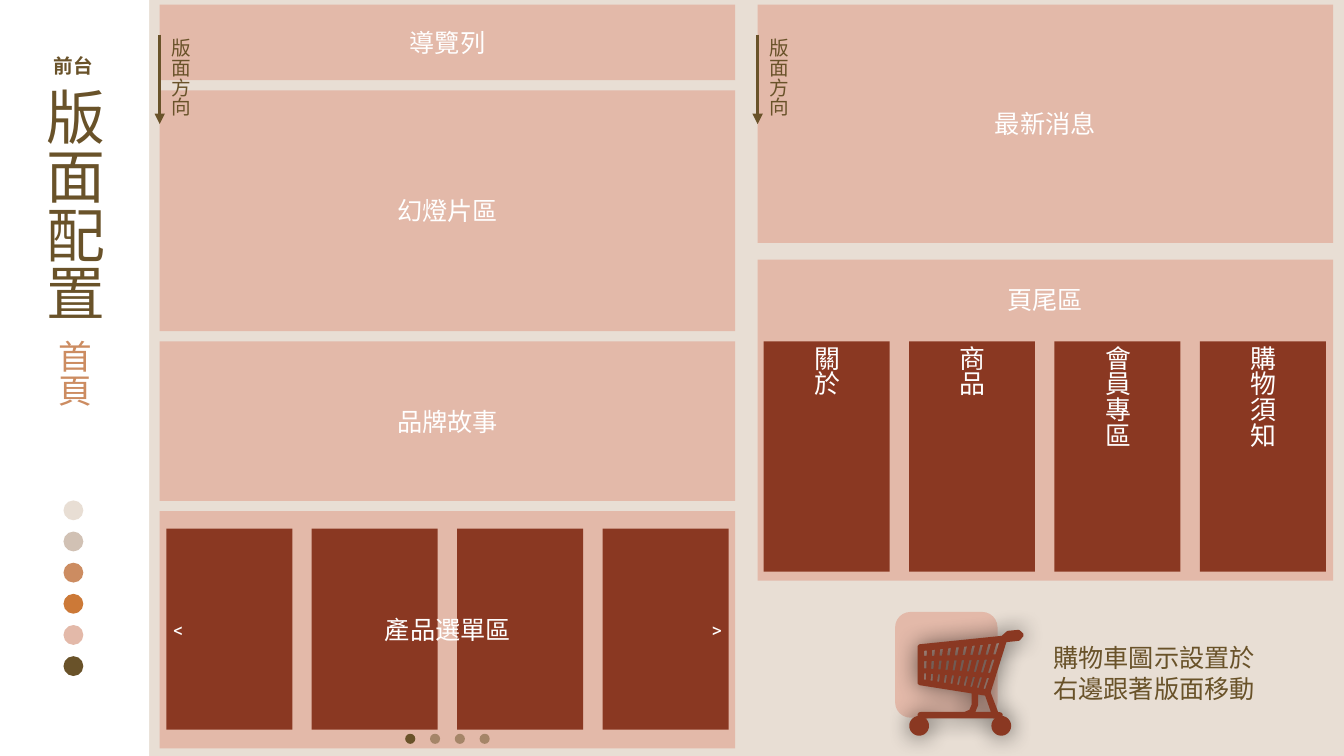
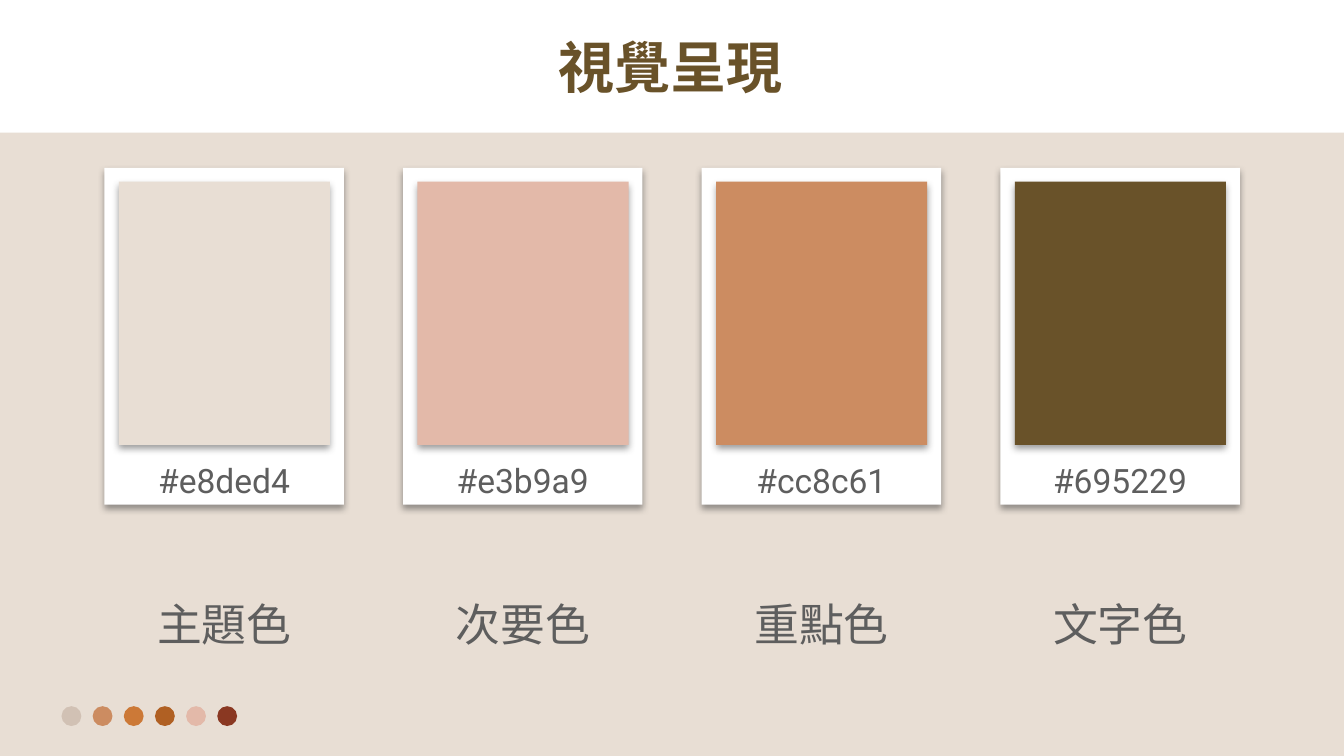
"""Build the page layout and colour palette slides of a shop website proposal."""
from dataclasses import dataclass
from math import cos, pi, sin

from lxml.etree import SubElement
from pptx import Presentation
from pptx.dml.color import RGBColor
from pptx.enum.shapes import MSO_CONNECTOR, MSO_SHAPE
from pptx.enum.text import MSO_ANCHOR, MSO_AUTO_SIZE, PP_ALIGN
from pptx.oxml.ns import qn
from pptx.util import Cm, Pt


@dataclass(frozen=True)
class Theme:
    beige: str = "E8DED4"
    taupe: str = "D1C1B4"
    copper: str = "CC8C61"
    orange: str = "CC7937"
    rust: str = "B06023"
    pink: str = "E3B9A9"
    brown: str = "695229"
    red: str = "8A3822"
    white: str = "FFFFFF"
    gray: str = "5E5E5E"
    cjk_font: str = "Noto Sans CJK SC"
    latin_font: str = "Roboto"
    menu_font: str = "Arial"
    vertical_title: int = 84
    band_title: int = 80
    caption: int = 64
    heading: int = 48
    menu: int = 37
    body: int = 36
    small: int = 28
    card_shadow: tuple = ("393939", 50, 10, 5, 92)
    cart_shadow: tuple = ("000000", 63, 34, 0, 0)


THEME = Theme()


def write(shape, text, size=THEME.body, color=THEME.white, font=THEME.cjk_font, bold=False,
          vertical=False, anchor=MSO_ANCHOR.MIDDLE, wrap=True, grow=False):
    frame = shape.text_frame
    frame.word_wrap = wrap
    frame.auto_size = MSO_AUTO_SIZE.SHAPE_TO_FIT_TEXT if grow else MSO_AUTO_SIZE.NONE
    frame.vertical_anchor = anchor
    frame.margin_left = frame.margin_right = frame.margin_top = frame.margin_bottom = Cm(0.2)
    if vertical:
        frame._txBody.bodyPr.set("vert", "eaVert")
    frame.text = text
    for paragraph in frame.paragraphs:
        paragraph.alignment = PP_ALIGN.CENTER
        for run in paragraph.runs:
            run.font.size = Pt(size)
            run.font.bold = bold
            run.font.color.rgb = RGBColor.from_string(color)
            run.font.name = font
            SubElement(run.font._element, qn("a:ea"), typeface=font)


class SlideBuilder:
    def __init__(self, presentation, theme):
        self.presentation = presentation
        self.theme = theme
        self.slide = None

    def start(self):
        layout = self.presentation.slide_layouts[5]
        self.slide = self.presentation.slides.add_slide(layout)
        self.paint(self.slide.background, self.theme.beige)

    def paint(self, target, color):
        target.fill.solid()
        target.fill.fore_color.rgb = RGBColor.from_string(color)

    def title(self, text, left, top, width, height, fill=None, **style):
        shape = self.slide.shapes.title
        shape.left, shape.top, shape.width, shape.height = map(Cm, (left, top, width, height))
        if fill:
            self.paint(shape, fill)
        write(shape, text, color=self.theme.brown, **style)
        shape._element.getparent().append(shape._element)

    def shape(self, left, top, width, height, fill, kind=MSO_SHAPE.RECTANGLE,
              text=None, shadow=None, opacity=None, **style):
        shape = self.slide.shapes.add_shape(kind, *map(Cm, (left, top, width, height)))
        self.paint(shape, fill)
        shape.line.fill.background()
        shape.shadow.inherit = False
        if shadow:
            self.cast_shadow(shape, *shadow)
        if opacity:
            color = shape._element.spPr.find(qn("a:solidFill"))[0]
            SubElement(color, qn("a:alpha"), val=str(opacity * 1000))
        if text:
            write(shape, text, **style)
        return shape

    def cast_shadow(self, shape, color, opacity, blur, distance, direction):
        effects = shape._element.spPr.find(qn("a:effectLst"))
        outer = SubElement(effects, qn("a:outerShdw"), blurRad=str(Pt(blur)), dist=str(Pt(distance)),
                           dir=str(direction * 60000), algn="ctr", rotWithShape="0")
        SubElement(SubElement(outer, qn("a:srgbClr"), val=color),
                   qn("a:alpha"), val=str(opacity * 1000))

    def text(self, text, left, top, width, height, **style):
        write(self.slide.shapes.add_textbox(*map(Cm, (left, top, width, height))), text, **style)

    def dots(self, colors, left, top, size, step_x=0, step_y=0, opacities=()):
        for index, color in enumerate(colors):
            self.shape(left + index * step_x, top + index * step_y, size, size, color,
                       MSO_SHAPE.OVAL, opacity=opacities[index] if opacities else None)

    def down_arrow(self, x, top, bottom):
        arrow = self.slide.shapes.add_connector(
            MSO_CONNECTOR.STRAIGHT, Cm(x), Cm(top), Cm(x), Cm(bottom))
        arrow.line.color.rgb = RGBColor.from_string(self.theme.brown)
        arrow.line.width = Pt(5)
        SubElement(arrow.line._get_or_add_ln(), qn("a:tailEnd"), type="triangle")
        SubElement(arrow._element.spPr, qn("a:effectLst"))

    def outline(self, contours, color, shadow):
        scaled = [[(Cm(x), Cm(y)) for x, y in contour] for contour in contours]
        builder = self.slide.shapes.build_freeform(*scaled[0][0])
        for index, points in enumerate(scaled):
            if index:
                builder.move_to(*points[0])
            builder.add_line_segments(points[1:], close=True)
        shape = builder.convert_to_shape()
        self.paint(shape, color)
        shape.line.color.rgb = RGBColor.from_string(color)
        shape.line.width = Pt(5)
        shape.shadow.inherit = False
        self.cast_shadow(shape, *shadow)


def cart_contours():
    frame = [(51.33, 31.83), (51.51, 32), (51.33, 32.21), (50.65, 32.28), (49.83, 34.9),
             (50.24, 35.97), (50.44, 35.99), (50.44, 36.17), (50.04, 36.12), (46.74, 36.12),
             (46.33, 36.17), (46.33, 35.99), (46.41, 35.97), (48.62, 35.97), (48.92, 35.84),
             (49.05, 35.53), (49.05, 34.87), (46.33, 34.44), (46.33, 32.56), (50.52, 32.13),
             (50.8, 31.88)]
    strut = [(49.2, 34.9), (49.2, 35.53), (49.02, 35.97), (50.06, 35.97), (49.71, 34.98)]
    wheels = [[(x + 0.41 * cos(step * pi / 12), 36.58 + 0.41 * sin(step * pi / 12))
               for step in range(24)] for x in (46.32, 50.46)]
    rails = [(50.47, 32.72, 32.31), (50.24, 33.15, 33.07), (49.96, 33.76, 34.01),
             (49.71, 34.32, 34.82)]

    def on_rail(rail, fraction, drop=0):
        right, left_y, right_y = rail
        return 46.48 + (right - 46.48) * fraction, left_y + (right_y - left_y) * fraction + drop

    slots = []
    for row, (upper, lower) in enumerate(zip(rails, rails[1:])):
        drop = 0.08 if row else 0
        for column in range(10):
            start, end = column / 9.8, (column + 0.8) / 9.8
            slots.append([on_rail(upper, start, drop), on_rail(upper, end, drop),
                          on_rail(lower, end), on_rail(lower, start)])
    return [frame, strut, *wheels, *slots]


def build_layout_slide(builder):
    theme = builder.theme
    left_column, right_column, column_width = 8.05, 38.18, 29
    pane_width, pane_step = 6.35, 7.33
    builder.start()
    builder.shape(-0.1, 0, 7.62, 38.1, theme.white)
    builder.title("版面配置", 2.03, 4.22, 3.35, 12.73,
                  size=theme.vertical_title, vertical=True, grow=True)
    builder.text("首頁", 2.67, 16.94, 2.08, 4.22, size=theme.heading,
                 color=theme.copper, vertical=True, grow=True)
    builder.text("前台", 2.51, 2.51, 2.39, 1.6, size=theme.small,
                 color=theme.brown, bold=True, wrap=False, grow=True)
    builder.dots([theme.beige, theme.taupe, theme.copper, theme.orange, theme.pink, theme.brown],
                 3.2, 25.22, 1, step_y=1.57)

    for left, top, height, label in [
        (left_column, 0.23, 3.81, "導覽列"),
        (left_column, 4.55, 12.14, "幻燈片區"),
        (left_column, 17.2, 8.05, "品牌故事"),
        (left_column, 25.76, 11.96, None),
        (right_column, 0.23, 12.01, "最新消息"),
        (right_column, 13.08, 16.18, None),
    ]:
        builder.shape(left, top, column_width, height, theme.pink, text=label)

    for index, label in enumerate(["關於", "商品", "會員專區", "購物須知"]):
        offset = index * pane_step
        builder.shape(8.38 + offset, 26.64, pane_width, 10.13, theme.red)
        builder.shape(38.48 + offset, 17.2, pane_width, 11.61, theme.red, text=label,
                      size=theme.menu, font=theme.menu_font, vertical=True)
    builder.text("產品選單區", 19.18, 30.02, 6.78, 3.4)
    builder.text("頁尾區", 49.28, 13.94, 6.78, 2.31)

    for left in (left_column, right_column):
        builder.down_arrow(left, 1.75, 6.25)
        builder.text("版面方向", left + 0.36, 1.75, 1.4, 4.39, size=theme.small,
                     color=theme.brown, vertical=True, wrap=False, grow=True)
    for symbol, left in (("<", 8.38), (">", 35.51)):
        builder.text(symbol, left, 30.94, 1.22, 1.55, size=theme.small,
                     font=theme.latin_font, wrap=False, grow=True)
    builder.dots([theme.brown] * 4, 20.42, 36.98, 0.51, step_x=1.25,
                 opacities=(100, 50, 50, 50))

    tile = builder.shape(45.11, 30.84, 5.16, 5.33, theme.pink, MSO_SHAPE.ROUNDED_RECTANGLE)
    tile.adjustments[0] = 0.15
    builder.outline(cart_contours(), theme.red, theme.cart_shadow)
    builder.text("購物車圖示設置於\n右邊跟著版面移動", 52.65, 31.95, 11.02, 3.94,
                 color=theme.brown, wrap=False, grow=True)


def build_palette_slide(builder):
    theme = builder.theme
    builder.start()
    builder.title("視覺呈現", -0.1, 0, 67.82, 6.68, fill=theme.white,
                  size=theme.band_title, bold=True)
    builder.dots([theme.taupe, theme.copper, theme.orange, theme.rust, theme.pink, theme.red],
                 3.1, 35.59, 1, step_x=1.57)
    for index, (color, role) in enumerate([
        (theme.beige, "主題色"), (theme.pink, "次要色"),
        (theme.copper, "重點色"), (theme.brown, "文字色"),
    ]):
        left = 5.26 + index * 15.05
        builder.shape(left, 8.46, 12.07, 16.97, theme.white, text=f"#{color.lower()}",
                      shadow=theme.card_shadow, size=theme.heading, color=theme.gray,
                      font=theme.latin_font, anchor=MSO_ANCHOR.BOTTOM)
        builder.shape(left + 0.73, 9.16, 10.64, 13.26, color, shadow=theme.card_shadow)
        builder.text(role, left + 2.44, 29.64, 7.21, 3.58, size=theme.caption,
                     color=theme.gray, wrap=False, grow=True)


def main():
    presentation = Presentation()
    presentation.slide_width, presentation.slide_height = Cm(67.73), Cm(38.1)
    builder = SlideBuilder(presentation, THEME)
    build_layout_slide(builder)
    build_palette_slide(builder)
    presentation.save("out.pptx")


if __name__ == "__main__":
    main()
